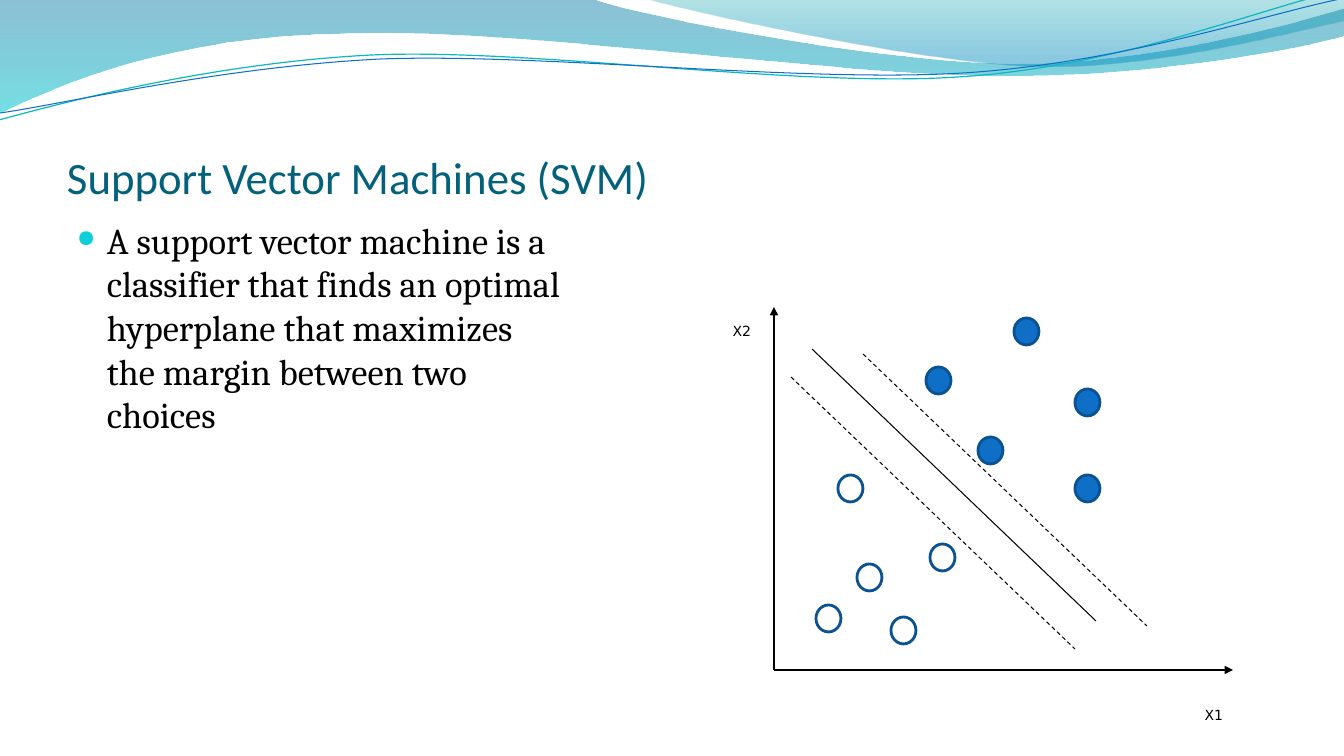
from lxml.etree import SubElement
from pptx import Presentation
from pptx.dml.color import RGBColor
from pptx.enum.dml import MSO_LINE
from pptx.enum.shapes import MSO_CONNECTOR, MSO_SHAPE
from pptx.enum.text import MSO_ANCHOR, PP_ALIGN
from pptx.oxml.ns import qn
from pptx.util import Pt

PX = 914400 / 100.8
COLORS = {
    "blue": "0F6FC6", "rim": "0B5292", "ink": "000000", "title": "04617B",
    "bullet": "0BD0D9", "aqua": "0AB8BF", "deep": "0074A1", "cyan": "00C6CF",
    "teal": "00A1A9", "sky": "008BBF",
}
BANDS = [
    ([(0, 0), (592, -1), (639, 17, 892, 64, 1019, 64),
      (1147, 64, 1288, 26, 1344, 9), (1346, 36),
      (1321, 44, 1169, 77, 1002, 76), (836, 76, 513, 28, 346, 34),
      (173, 36, 61, 84, -1, 114)],
     [(0, "deep", 45), (1, "cyan", 55)]),
    ([(644, -1), (684, 11, 916, 62, 1033, 66),
      (1149, 70, 1292, 32, 1344, 21), (1344, 0)],
     [(0, "teal", 30), (0.8, "sky", 45)]),
]
WAVES = [
    ([(-1, 120), (65, 102, 213, 63, 372, 55), (531, 48, 796, 88, 958, 77),
      (1119, 67, 1262, 8, 1342, -10)], "aqua", 0.85),
    ([(0, 113), (64, 104, 220, 67, 381, 59), (541, 53, 802, 83, 963, 73),
      (1124, 63, 1265, 14, 1345, -2)], "blue", 0.75),
]
TITLE = "Support Vector Machines (SVM)"
BODY = ("A support vector machine is a classifier that finds an optimal "
        "hyperplane that maximizes the margin between two choices")
LABELS = [("X1", 1162, 702), ("X2", 690, 318)]
DOTS = {
    "blue": [(1014, 318), (1075, 389), (926, 367), (1075, 475), (978, 437)],
    None: [(838, 475), (930, 544), (857, 564), (816, 605), (891, 617)],
}
ORIGIN = (774, 670)
AXES = [(774, 307), (1233, 670)]
MARGINS = [((812, 349), False), ((791, 377), True), ((863, 354), True)]
SPAN = (284, 272)


def emu(*vals):
    return [round(v * PX) for v in vals]


def rgb(name):
    return RGBColor.from_string(COLORS[name])


def curve(segs, close):
    pts = [emu(*seg[i:i + 2]) for seg in segs for i in range(0, len(seg), 2)]
    form = slide.shapes.build_freeform(*pts[0])
    form.add_line_segments(pts[1:], close=close)
    shape = form.convert_to_shape()
    shape.shadow.inherit = False
    legs = iter(list(shape._element.spPr.iter(qn("a:lnTo"))))
    for seg in segs[1:]:
        leg = next(legs)
        if len(seg) == 6:
            leg.addprevious(bend := leg.makeelement(qn("a:cubicBezTo")))
            for part in (leg, next(legs), next(legs)):
                bend.append(part[0])
                part.getparent().remove(part)
    return shape


def stroke(line, color, width):
    line.color.rgb = rgb(color)
    line.width = Pt(width)


def link(start, end, width, dash=False, arrow=False):
    rule = slide.shapes.add_connector(MSO_CONNECTOR.STRAIGHT, *emu(*start, *end))
    stroke(rule.line, "ink", width)
    if dash:
        rule.line.dash_style = MSO_LINE.DASH
    if arrow:
        SubElement(rule.line._get_or_add_ln(), qn("a:tailEnd"), type="triangle")
    SubElement(rule._element.spPr, qn("a:effectLst"))


def write(text, box, size, font, color):
    frame = slide.shapes.add_textbox(*emu(*box)).text_frame
    frame.word_wrap = True
    para = frame.paragraphs[0]
    run = para.add_run()
    run.text = text
    run.font.size = Pt(size)
    run.font.name = font
    run.font.color.rgb = rgb(color)
    return frame, para


deck = Presentation()
deck.slide_width, deck.slide_height = emu(1344, 756)
slide = deck.slides.add_slide(deck.slide_layouts[6])

for segs, stops in BANDS:
    band = curve(segs, True)
    band.line.fill.background()
    band.fill.gradient()
    band.fill.gradient_angle = 270
    for stop, (pos, color, alpha) in zip(band.fill.gradient_stops, stops):
        stop.position = pos
        stop.color.rgb = rgb(color)
    tints = band._element.spPr.iter(qn("a:srgbClr"))
    for tint, (pos, color, alpha) in zip(tints, stops):
        SubElement(tint, qn("a:alpha"), val=str(alpha * 1000))

for segs, color, width in WAVES:
    wave = curve(segs, False)
    wave.fill.background()
    stroke(wave.line, color, width)

frame, para = write(TITLE, (67, 77, 1210, 126), 32, "Calibri", "title")
frame.vertical_anchor = MSO_ANCHOR.BOTTOM
frame.margin_left = frame.margin_right = frame.margin_bottom = 0

frame, para = write(BODY, (67, 213, 506, 484), 26, "Cambria", "ink")
props = para._p.get_or_add_pPr()
indent = emu(30)[0]
props.set("marL", str(indent))
props.set("indent", str(-indent))
SubElement(SubElement(props, qn("a:buClr")), qn("a:srgbClr"), val=COLORS["bullet"])
SubElement(props, qn("a:buSzPct"), val="65000")
SubElement(props, qn("a:buChar"), char="●")

for end in AXES:
    link(ORIGIN, end, 2, arrow=True)

for text, x, y in LABELS:
    frame, para = write(text, (x, y, 71, 27), 10, "DejaVu Sans", "ink")
    para.alignment = PP_ALIGN.RIGHT

for color, spots in DOTS.items():
    for x, y in spots:
        dot = slide.shapes.add_shape(MSO_SHAPE.OVAL, *emu(x, y, 25, 27))
        dot.shadow.inherit = False
        if color:
            dot.fill.solid()
            dot.fill.fore_color.rgb = rgb(color)
        else:
            dot.fill.background()
        stroke(dot.line, "rim", 2)

for (x, y), dash in MARGINS:
    link((x, y), (x + SPAN[0], y + SPAN[1]), 0.75, dash=dash)

deck.save("out.pptx")
